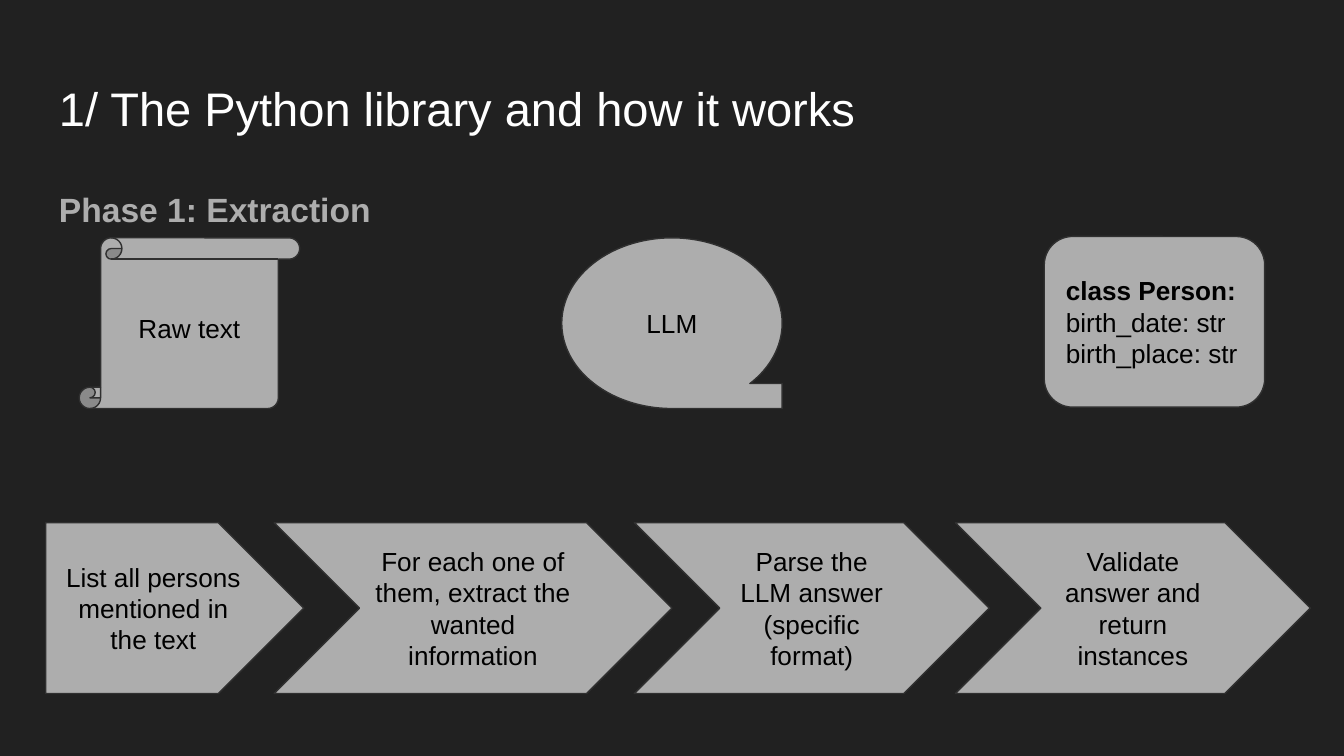
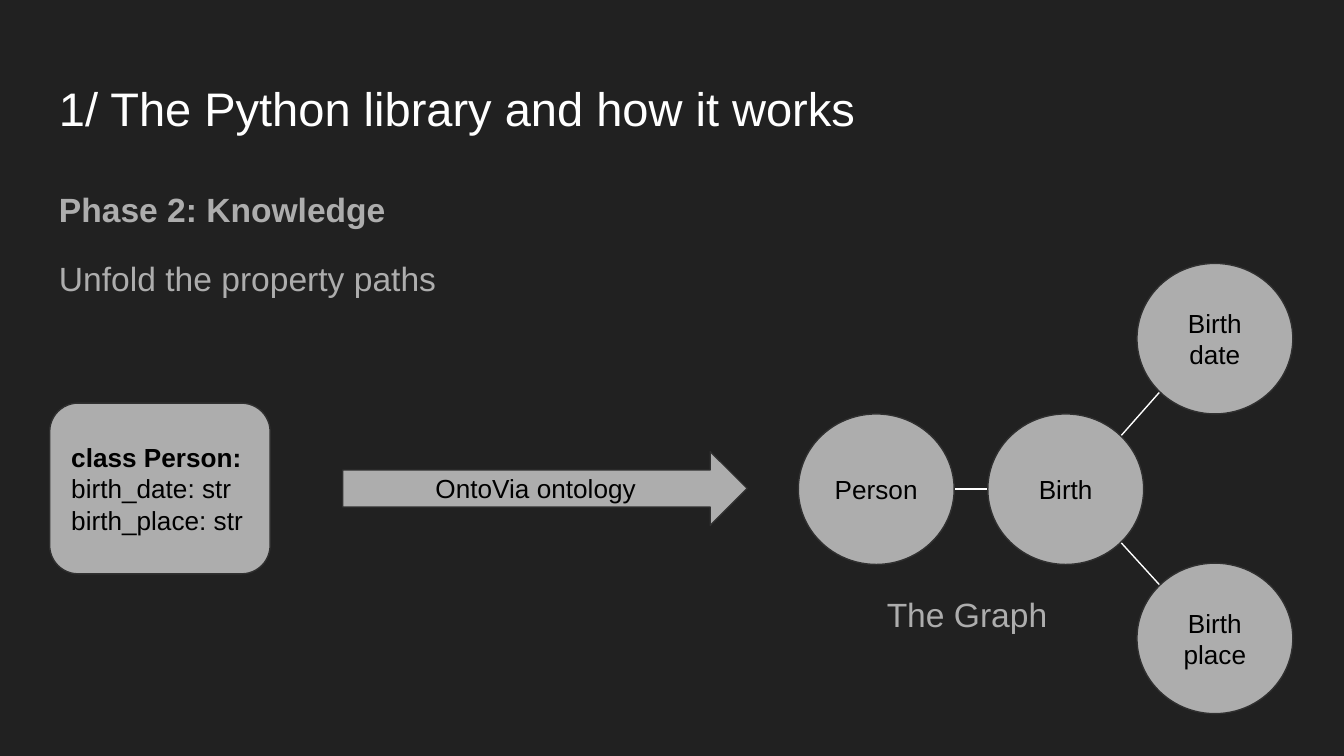
import math

from lxml import etree
from pptx import Presentation
from pptx.dml.color import RGBColor
from pptx.enum import shapes, text
from pptx.oxml import ns
from pptx.util import Inches, Pt

COLORS = {
    "background": "212121",
    "title": "FFFFFF",
    "body": "ADADAD",
    "fill": "ADADAD",
    "outline": "303030",
    "label": "000000",
    "link": "FFFFFF",
}
FONT = "Arial"
LINE_WIDTH = 0.75
SLIDE_WIDTH = Inches(10)
SLIDE_HEIGHT = SLIDE_WIDTH * 9 // 16
SHAPE = shapes.MSO_SHAPE
LEFT, CENTER = text.PP_ALIGN.LEFT, text.PP_ALIGN.CENTER

TITLE = "1/ The Python library and how it works"
PERSON_CLASS = ["class Person:", "birth_date: str", "birth_place: str"]
ICON_SIZE = (1.64, 1.27)
NODE_SIZE = (1.16, 1.12)


def color(name):
    return RGBColor.from_string(COLORS[name])


def write(frame, lines, size=14, ink="label", align=LEFT, anchor=text.MSO_ANCHOR.TOP,
          bold_first=False, line_spacing=None, gap=0):
    """Fill a text frame with one paragraph per line; gap is the space between them."""
    frame.word_wrap = True
    frame.vertical_anchor = anchor
    frame.margin_left = frame.margin_right = Inches(0.1)
    frame.margin_top = frame.margin_bottom = Inches(0.1)
    for index, line in enumerate(lines):
        paragraph = frame.add_paragraph() if index else frame.paragraphs[0]
        paragraph.alignment = align
        paragraph.line_spacing = line_spacing
        if index and gap:
            paragraph.space_before = Pt(gap)
        run = paragraph.add_run()
        run.text = line
        run.font.name = FONT
        run.font.size = Pt(size)
        run.font.bold = bold_first and index == 0
        run.font.color.rgb = color(ink)


class Deck:
    def __init__(self):
        self.presentation = Presentation()
        self.presentation.slide_width = SLIDE_WIDTH
        self.presentation.slide_height = SLIDE_HEIGHT
        self.slide = None

    def start_slide(self, body_lines):
        """Add a slide with the shared background, title and body text."""
        self.slide = self.presentation.slides.add_slide(self.presentation.slide_layouts[6])
        background = self.slide.background.fill
        background.solid()
        background.fore_color.rgb = color("background")
        self.words([TITLE], 0.34, 0.49, 9.32, 0.63, size=25.2, ink="title")
        self.words(body_lines, 0.34, 1.26, 9.32, 3.74, size=18, ink="body",
                   bold_first=True, line_spacing=1.15, gap=12)

    def words(self, lines, left, top, width, height, **style):
        box = self.slide.shapes.add_textbox(*map(Inches, (left, top, width, height)))
        write(box.text_frame, lines, **style)

    def figure(self, preset, lines, left, top, width, height, align=CENTER, **style):
        """Add a grey preset shape with its label in the middle."""
        figure = self.slide.shapes.add_shape(preset, *map(Inches, (left, top, width, height)))
        figure.shadow.inherit = False
        figure.fill.solid()
        figure.fill.fore_color.rgb = color("fill")
        figure.line.color.rgb = color("outline")
        figure.line.width = Pt(LINE_WIDTH)
        write(figure.text_frame, lines, align=align, anchor=text.MSO_ANCHOR.MIDDLE, **style)

    def person_class(self, left, top):
        self.figure(SHAPE.FLOWCHART_ALTERNATE_PROCESS, PERSON_CLASS, left, top, *ICON_SIZE,
                    align=LEFT, bold_first=True)

    def link(self, start, end):
        link = self.slide.shapes.add_connector(
            shapes.MSO_CONNECTOR.STRAIGHT, *map(Inches, (*start, *end)))
        link.line.color.rgb = color("link")
        link.line.width = Pt(LINE_WIDTH)
        etree.SubElement(link._element.spPr, ns.qn("a:effectLst"))


def rim_point(node, degrees):
    """Point on a node's ellipse, with 0 at the right and 90 at the bottom."""
    left, top = node
    width, height = NODE_SIZE
    angle = math.radians(degrees)
    return (left + width / 2 * (1 + math.cos(angle)),
            top + height / 2 * (1 + math.sin(angle)))


def build_extraction(deck):
    deck.start_slide(["Phase 1: Extraction"])
    deck.figure(SHAPE.VERTICAL_SCROLL, ["Raw text"], 0.59, 1.77, *ICON_SIZE)
    deck.figure(SHAPE.FLOWCHART_SEQUENTIAL_ACCESS_STORAGE, ["LLM"], 4.18, 1.77, *ICON_SIZE)
    deck.person_class(7.77, 1.76)

    steps = [
        (SHAPE.PENTAGON, "List all persons mentioned in the text", 0.34, 1.92),
        (SHAPE.CHEVRON, "For each one of them, extract the wanted information", 2.04, 2.96),
        (SHAPE.CHEVRON, "Parse the LLM answer (specific format)", 4.72, 2.64),
        (SHAPE.CHEVRON, "Validate answer and return instances", 7.11, 2.64),
    ]
    for preset, step, left, width in steps:
        deck.figure(preset, [step], left, 3.89, width, 1.27)


def build_knowledge(deck):
    deck.start_slide(["Phase 2: Knowledge", "Unfold the property paths"])
    nodes = {
        "Person": (5.94, 3.08),
        "Birth": (7.35, 3.08),
        "Birth place": (8.46, 4.19),
        "Birth date": (8.46, 1.96),
    }
    links = [
        ("Person", 0, "Birth", 180),
        ("Birth", -45, "Birth date", 135),
        ("Birth place", 225, "Birth", 45),
    ]
    for source, leaving, target, arriving in links:
        deck.link(rim_point(nodes[source], leaving), rim_point(nodes[target], arriving))
    deck.person_class(0.37, 3)
    for name, position in nodes.items():
        deck.figure(SHAPE.OVAL, [name], *position, *NODE_SIZE)
    deck.figure(SHAPE.RIGHT_ARROW, ["OntoVia ontology"], 2.55, 3.36, 3.01, 0.55)
    deck.words(["The Graph"], 6.5, 4.32, 1.46, 0.56, size=18, ink="body")


def main():
    deck = Deck()
    build_extraction(deck)
    build_knowledge(deck)
    deck.presentation.save("out.pptx")


if __name__ == "__main__":
    main()
